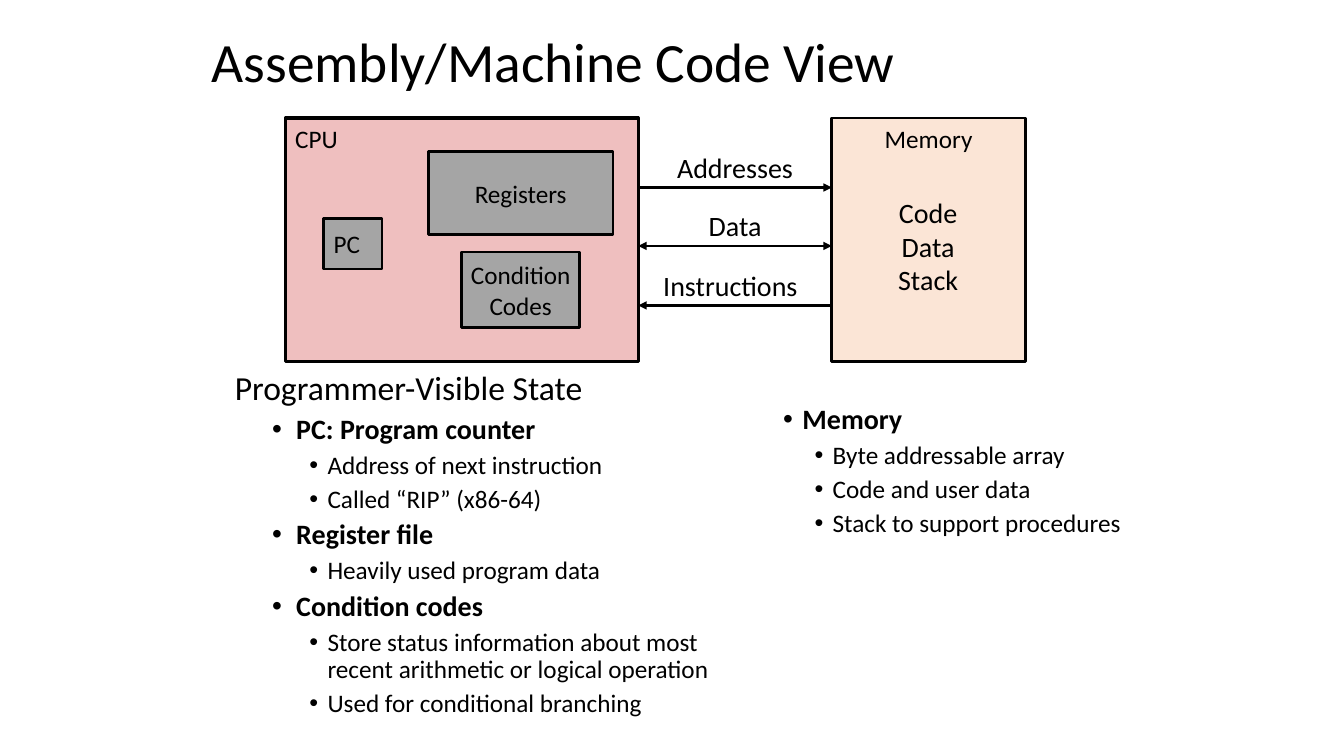
"""Builds the slide on the assembly and machine code view of a computer."""
from lxml.etree import SubElement
from pptx import Presentation
from pptx.dml.color import RGBColor
from pptx.enum.shapes import MSO_CONNECTOR, MSO_SHAPE
from pptx.enum.text import MSO_ANCHOR, PP_ALIGN
from pptx.oxml.ns import qn
from pptx.util import Inches, Pt

BLACK = RGBColor(0x00, 0x00, 0x00)
CPU_PINK = RGBColor(0xEF, 0xBF, 0xBF)
UNIT_GRAY = RGBColor(0xA5, 0xA5, 0xA5)
MEMORY_PEACH = RGBColor(0xFB, 0xE5, 0xD6)

BUS_LEFT, BUS_RIGHT = 6.33, 8.25
HEADING, TOPIC, DETAIL = range(3)
LEVEL_STYLES = {
    HEADING: {"size": 24, "before": 10},
    TOPIC: {"size": 20, "bold": True, "before": 5},
    DETAIL: {"size": 18, "before": 5},
}

STATE_NOTES = [
    (HEADING, "Programmer-Visible State"),
    (TOPIC, "PC: Program counter"),
    (DETAIL, "Address of next instruction"),
    (DETAIL, "Called “RIP” (x86-64)"),
    (TOPIC, "Register file"),
    (DETAIL, "Heavily used program data"),
    (TOPIC, "Condition codes"),
    (DETAIL, "Store status information about most recent arithmetic or logical operation"),
    (DETAIL, "Used for conditional branching"),
]
MEMORY_NOTES = [
    (TOPIC, "Memory"),
    (DETAIL, "Byte addressable array"),
    (DETAIL, "Code and user data"),
    (DETAIL, "Stack to support procedures"),
]


def write(paragraph, text, size=18, bold=False, align=PP_ALIGN.LEFT, spacing=None, before=0):
    """Put formatted text into a paragraph."""
    paragraph.alignment = align
    paragraph.line_spacing = spacing
    paragraph.space_before = Pt(before)
    run = paragraph.add_run()
    run.text = text
    run.font.name = "Calibri"
    run.font.size = Pt(size)
    run.font.bold = bold
    run.font.color.rgb = BLACK


def write_lines(frame, lines, **text_format):
    """Write one paragraph for each line."""
    for index, line in enumerate(lines):
        paragraph = frame.add_paragraph() if index else frame.paragraphs[0]
        write(paragraph, line, **text_format)


def add_title(slide, text):
    """Place and fill the title placeholder."""
    title = slide.shapes.title
    title.left, title.top = Inches(2), Inches(0.33)
    title.width, title.height = Inches(7.9), Inches(0.63)
    title.text_frame.vertical_anchor = MSO_ANCHOR.MIDDLE
    write(title.text_frame.paragraphs[0], text, size=39.6, spacing=0.9)


def add_block(slide, lines, left, top, width, height, fill,
              anchor=MSO_ANCHOR.MIDDLE, align=PP_ALIGN.CENTER, outline=2):
    """Draw an outlined hardware block with its name."""
    block = slide.shapes.add_shape(
        MSO_SHAPE.RECTANGLE, Inches(left), Inches(top), Inches(width), Inches(height))
    block.shadow.inherit = False
    block.fill.solid()
    block.fill.fore_color.rgb = fill
    block.line.color.rgb = BLACK
    block.line.width = Pt(outline)
    block.text_frame.word_wrap = False
    block.text_frame.vertical_anchor = anchor
    write_lines(block.text_frame, lines, align=align)


def add_text(slide, left, top, width, height):
    """Add a wrapping text box and return its frame."""
    box = slide.shapes.add_textbox(Inches(left), Inches(top), Inches(width), Inches(height))
    box.text_frame.word_wrap = True
    return box.text_frame


def add_bus(slide, name, y, label_width, ends):
    """Draw a labelled arrow between CPU and memory."""
    bus = slide.shapes.add_connector(
        MSO_CONNECTOR.STRAIGHT, Inches(BUS_LEFT), Inches(y), Inches(BUS_RIGHT), Inches(y))
    bus.line.color.rgb = BLACK
    bus.line.width = Pt(2)
    properties = bus.line._get_or_add_ln()
    for end in ends:
        SubElement(properties, qn(f"a:{end}"), type="triangle")
    SubElement(bus._element.spPr, qn("a:effectLst"))
    label = add_text(slide, BUS_LEFT, y - 0.42, label_width, 0.43)
    write_lines(label, [name], size=20, align=PP_ALIGN.CENTER)


def set_bullet(paragraph, margin, hang):
    """Give a paragraph a hanging round bullet."""
    properties = paragraph._p.get_or_add_pPr()
    properties.set("marL", str(Inches(margin)))
    properties.set("indent", str(-Inches(hang)))
    SubElement(properties, qn("a:buFont"), typeface="Arial")
    SubElement(properties, qn("a:buChar"), char="•")


def add_notes(slide, notes, place, indents):
    """Write an outline whose topics and details have bullets."""
    frame = add_text(slide, *place)
    for index, (level, text) in enumerate(notes):
        paragraph = frame.add_paragraph() if index else frame.paragraphs[0]
        paragraph.level = level
        write(paragraph, text, spacing=0.9, **LEVEL_STYLES[level])
        if level in indents:
            set_bullet(paragraph, *indents[level])


def main():
    """Build and save the slide."""
    deck = Presentation()
    deck.slide_width, deck.slide_height = Inches(13.33), Inches(7.5)
    slide = deck.slides.add_slide(deck.slide_layouts[5])
    add_title(slide, "Assembly/Machine Code View")

    add_block(slide, ["CPU"], 2.83, 1.17, 3.5, 2.42, CPU_PINK,
              anchor=MSO_ANCHOR.TOP, align=PP_ALIGN.LEFT, outline=2.25)
    add_block(slide, ["PC"], 3.21, 2.17, 0.58, 0.5, UNIT_GRAY, align=PP_ALIGN.LEFT)
    add_block(slide, ["Registers"], 4.25, 1.5, 1.83, 0.83, UNIT_GRAY)
    add_block(slide, ["Condition", "Codes"], 4.58, 2.5, 1.17, 0.75, UNIT_GRAY)
    add_block(slide, ["Memory"], BUS_RIGHT, 1.17, 1.92, 2.42, MEMORY_PEACH,
              anchor=MSO_ANCHOR.TOP)
    contents = add_text(slide, 8.58, 1.89, 1.25, 1.11)
    write_lines(contents, ["Code", "Data", "Stack"], size=20, align=PP_ALIGN.CENTER)

    add_bus(slide, "Addresses", 1.86, 1.92, ["tailEnd"])
    add_bus(slide, "Data", 2.44, 1.92, ["headEnd", "tailEnd"])
    add_bus(slide, "Instructions", 3.03, 1.83, ["headEnd"])

    add_notes(slide, STATE_NOTES, (2.23, 3.64, 5.31, 3.83),
              {TOPIC: (0.61, 0.24), DETAIL: (0.92, 0.18)})
    add_notes(slide, MEMORY_NOTES, (7.54, 3.97, 3.96, 1.72),
              {TOPIC: (0.32, 0.19), DETAIL: (0.62, 0.18)})
    deck.save("out.pptx")


if __name__ == "__main__":
    main()
